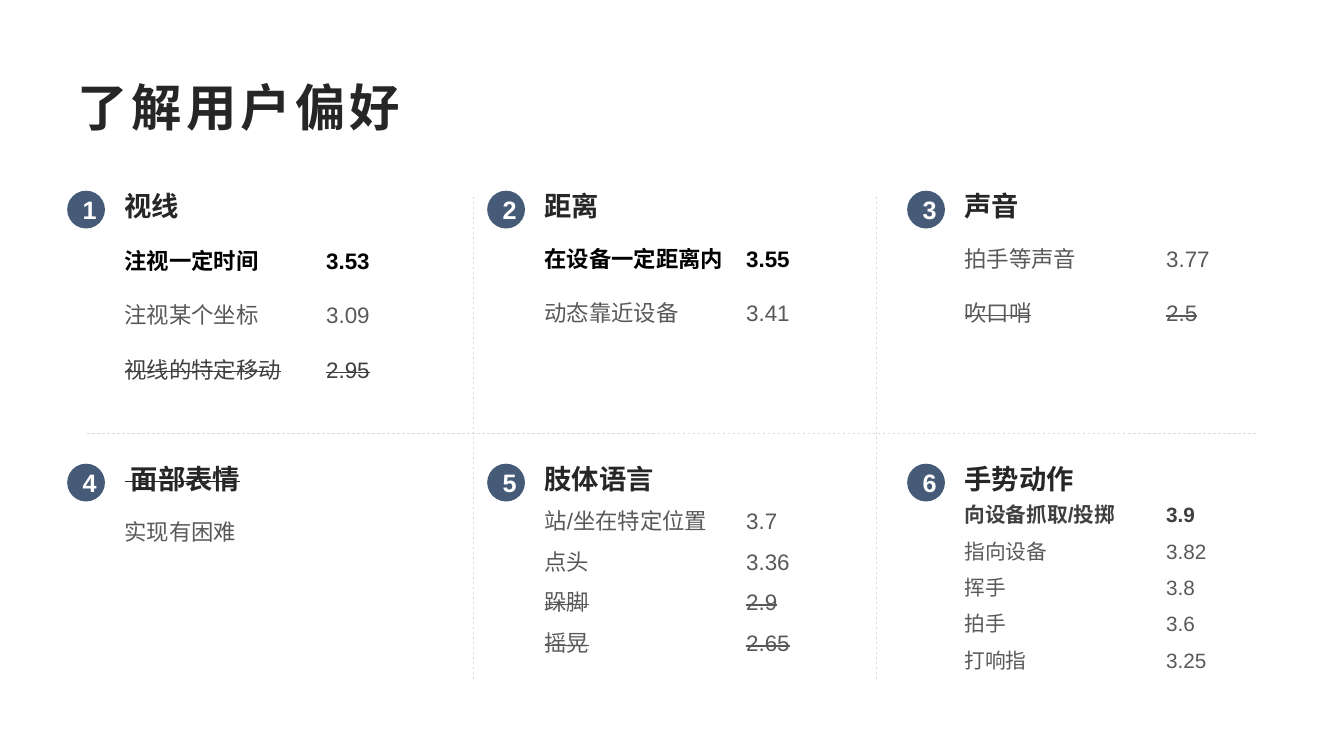
from lxml.etree import SubElement
from pptx import Presentation
from pptx.dml.color import RGBColor
from pptx.enum.dml import MSO_LINE
from pptx.enum.shapes import MSO_CONNECTOR, MSO_SHAPE
from pptx.enum.text import MSO_ANCHOR, PP_ALIGN
from pptx.oxml.ns import qn
from pptx.util import Inches, Pt

COLS, ROWS = 160, 90
TOPIC_COLS, TOPIC_ROWS = 50, 32.5
LEFT, TOP = 8, 22.7
INK, GREY, DARK, BLACK = "262626", "595959", "404040", "000000"


def color(hex_code):
    return RGBColor.from_string(hex_code)


class PreferenceSlide:
    font = "Arial"
    badge_fill = "455B78"
    rule_color = "D9D9D9"

    def __init__(self, deck):
        self.col = deck.slide_width / COLS
        self.row = deck.slide_height / ROWS
        self.shapes = deck.slides.add_slide(deck.slide_layouts[6]).shapes

    def place(self, left, top, width, height):
        return (round(left * self.col), round(top * self.row),
                round(width * self.col), round(height * self.row))

    def style(self, paragraph, size, tint, bold=False, strike=False, spacing=0):
        for run in paragraph.runs:
            run.font.name = self.font
            run.font.size = Pt(size)
            run.font.bold = bold
            run.font.color.rgb = color(tint)
            if strike:
                run.font._element.set("strike", "sngStrike")
            if spacing:
                run.font._element.set("spc", str(spacing * 100))

    def frame(self, left, top, width, height):
        frame = self.shapes.add_textbox(*self.place(left, top, width, height)).text_frame
        frame.word_wrap = True
        return frame

    def title(self, text):
        frame = self.frame(LEFT, 8, 144, 9.25)
        frame.vertical_anchor = MSO_ANCHOR.MIDDLE
        frame.text = text
        self.style(frame.paragraphs[0], 36, INK, bold=True, spacing=3)

    def badge(self, number, left, top):
        circle = self.shapes.add_shape(MSO_SHAPE.OVAL, *self.place(left, top, 4.5, 4.5))
        circle.shadow.inherit = False
        circle.fill.solid()
        circle.fill.fore_color.rgb = color(self.badge_fill)
        circle.line.fill.background()
        frame = circle.text_frame
        frame.vertical_anchor = MSO_ANCHOR.MIDDLE
        frame.text = str(number)
        frame.paragraphs[0].alignment = PP_ALIGN.CENTER
        self.style(frame.paragraphs[0], 18, "FFFFFF", bold=True)

    def heading(self, text, left, top, strike):
        frame = self.frame(left, top, 38.4, 4.1)
        frame.margin_top = frame.margin_bottom = 0
        frame.text = text
        self.style(frame.paragraphs[0], 19.5, INK, bold=True, strike=strike)

    def scores(self, entries, left, top, size, line_spacing):
        frame = self.frame(left, top, 38.4, 22)
        frame.text = "\n".join(text for text, *_ in entries)
        for index, (paragraph, entry) in enumerate(zip(frame.paragraphs, entries)):
            tabs = SubElement(paragraph._p.get_or_add_pPr(), qn("a:tabLst"))
            SubElement(tabs, qn("a:tab"), pos=str(Inches(2)), algn="l")
            paragraph.line_spacing = line_spacing
            if index:
                paragraph.space_before = Pt(10)
            self.style(paragraph, size, *entry[1:])

    def rule(self, x1, y1, x2, y2):
        ends = self.place(x1, y1, x2, y2)
        line = self.shapes.add_connector(MSO_CONNECTOR.STRAIGHT, *ends)
        line.line.color.rgb = color(self.rule_color)
        line.line.width = Pt(0.5)
        line.line.dash_style = MSO_LINE.DASH
        SubElement(line._element.spPr, qn("a:effectLst"))

    def topic(self, index, name, entries, drop=4.3, size=16, line_spacing=1.5, strike=False):
        row, column = divmod(index, 3)
        left = LEFT + column * TOPIC_COLS
        top = TOP + row * TOPIC_ROWS
        self.scores(entries, left + 5.65, top + drop, size, line_spacing)
        self.heading(name, left + 5.65, top - 0.15, strike)
        self.badge(index + 1, left, top)


TOPICS = [
    dict(name="视线", drop=4.55, entries=[
        ("注视一定时间\t3.53", BLACK, True),
        ("注视某个坐标\t3.09", GREY),
        ("视线的特定移动\t2.95", DARK, False, True)]),
    dict(name="距离", entries=[
        ("在设备一定距离内\t3.55", BLACK, True),
        ("动态靠近设备\t3.41", GREY)]),
    dict(name="声音", entries=[
        ("拍手等声音\t3.77", GREY),
        ("吹口哨\t2.5", GREY, False, True)]),
    dict(name=" 面部表情", strike=True, entries=[("实现有困难", GREY)]),
    dict(name="肢体语言", drop=4.55, line_spacing=1.0, entries=[
        ("站/坐在特定位置\t3.7", GREY),
        ("点头\t3.36", GREY),
        ("跺脚\t2.9", GREY, False, True),
        ("摇晃\t2.65", GREY, False, True)]),
    dict(name="手势动作", size=14.8, line_spacing=0.9, entries=[
        ("向设备抓取/投掷\t3.9", DARK, True),
        ("指向设备\t3.82", GREY),
        ("挥手\t3.8", GREY),
        ("拍手\t3.6", GREY),
        ("打响指\t3.25", GREY)]),
]


def main():
    deck = Presentation()
    deck.slide_width, deck.slide_height = Inches(13.33), Inches(7.5)
    slide = PreferenceSlide(deck)
    for index, topic in enumerate(TOPICS):
        slide.topic(index, **topic)
    for x in (56.3, 104.3):
        slide.rule(x, 23.4, x, 81.1)
    slide.rule(10.4, 51.6, 149.6, 51.6)
    slide.title("了解用户偏好")
    deck.save("out.pptx")


if __name__ == "__main__":
    main()
